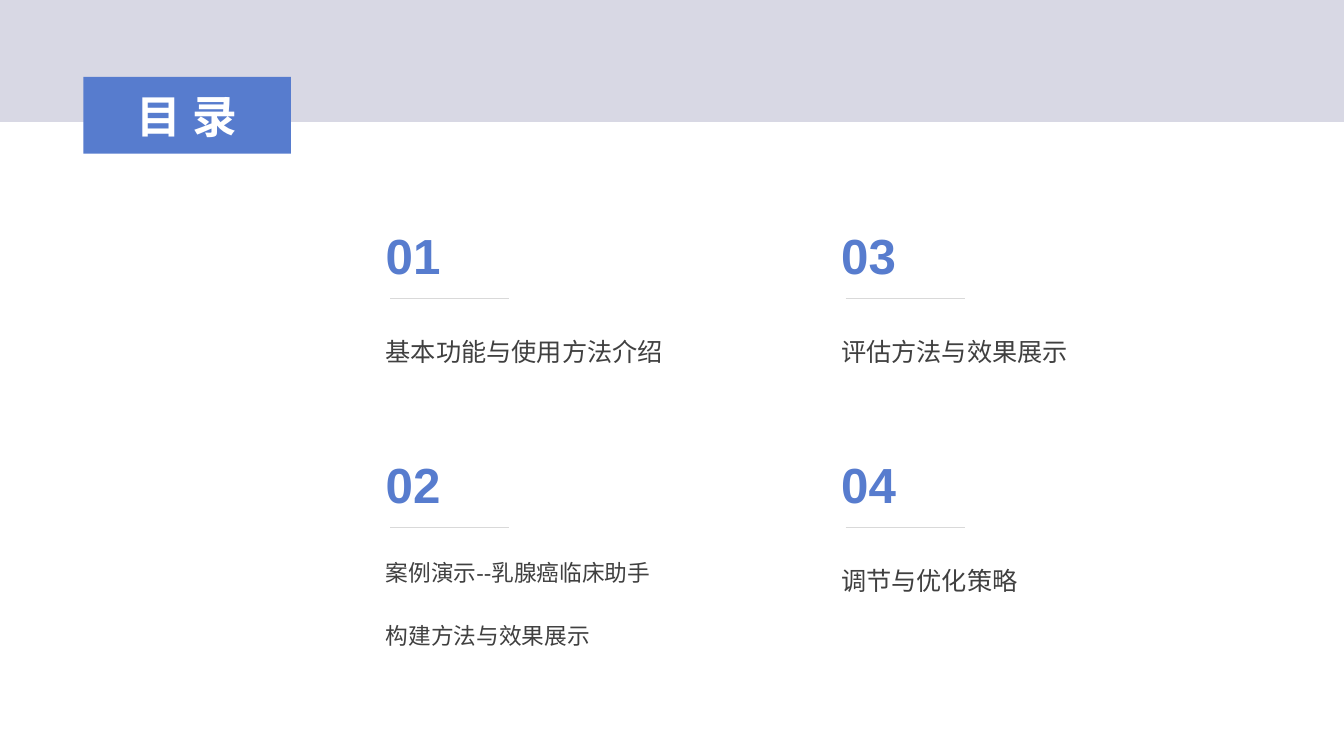
import pptx
import pptx.dml.color
import pptx.enum.shapes
import pptx.enum.text
import pptx.oxml.ns
import pptx.util
from lxml import etree

Cm = pptx.util.Cm
Pt = pptx.util.Pt
RGBColor = pptx.dml.color.RGBColor
ALIGN = pptx.enum.text.PP_ALIGN
ANCHOR = pptx.enum.text.MSO_ANCHOR
qn = pptx.oxml.ns.qn

BLUE = RGBColor(0x57, 0x7C, 0xCE)
LAVENDER = RGBColor(0xD8, 0xD8, 0xE4)
GREY = RGBColor(0x40, 0x40, 0x40)
RULE = RGBColor(0xD9, 0xD9, 0xD9)
WHITE = RGBColor(0xFF, 0xFF, 0xFF)
FONT = "Arial"

ENTRIES = [
    ("01", ["基本功能与使用方法介绍"], 18, 1.5),
    ("02", ["案例演示--乳腺癌临床助手", "构建方法与效果展示"], 16.2, 1.3),
    ("03", ["评估方法与效果展示"], 18, 1.5),
    ("04", ["调节与优化策略"], 18, 1.5),
]


def add_span(para, text, size, color, bold=False):
    span = para.add_run()
    span.text = text
    span.font.size = Pt(size)
    span.font.bold = bold
    span.font.color.rgb = color
    span.font.name = FONT
    properties = span.font._element
    east_asian = etree.Element(qn("a:ea"), typeface=FONT)
    properties.find(qn("a:latin")).addnext(east_asian)
    return span


def add_text_frame(page, left, top, width, height):
    frame = page.shapes.add_textbox(left, top, width, height).text_frame
    frame.word_wrap = True
    return frame


def add_header(page, left, top, width, height):
    band = page.shapes.add_shape(
        pptx.enum.shapes.MSO_SHAPE.RECTANGLE, left, top, width, height)
    band.shadow.inherit = False
    band.fill.solid()
    band.fill.fore_color.rgb = LAVENDER
    band.line.fill.background()

    title = page.shapes.title
    title.left, title.top = left + Cm(2.1), top + Cm(1.94)
    title.width, title.height = Cm(5.23), Cm(1.93)
    title.fill.solid()
    title.fill.fore_color.rgb = BLUE
    title.text_frame.vertical_anchor = ANCHOR.MIDDLE
    para = title.text_frame.paragraphs[0]
    para.alignment = ALIGN.CENTER
    span = add_span(para, "目录", 32, WHITE, True)
    span.font._element.set("spc", "800")
    title.element.addprevious(band.element)


def add_entry(page, left, top, width, number, lines, size, spacing):
    frame = add_text_frame(page, left, top, Cm(2.26), Cm(2.13))
    frame.margin_top = Cm(0.25)
    add_span(frame.paragraphs[0], number, 35.2, BLUE, True)

    rule_left, rule_top = left + Cm(0.36), top + Cm(2.1)
    rule = page.shapes.add_connector(
        pptx.enum.shapes.MSO_CONNECTOR.STRAIGHT,
        rule_left, rule_top, rule_left + Cm(3), rule_top)
    rule.line.color.rgb = RULE
    rule.line.width = Pt(0.5)
    etree.SubElement(rule.element.spPr, qn("a:effectLst"))

    frame = add_text_frame(page, left, top + Cm(2.54), width, Cm(2.7))
    for index, line in enumerate(lines):
        para = frame.add_paragraph() if index else frame.paragraphs[0]
        para.alignment = ALIGN.JUSTIFY
        para.line_spacing = spacing
        para.space_after = Pt(20)
        add_span(para, line, size, GREY)


def add_contents(page, left, top, column_pitch, row_pitch):
    for index, entry in enumerate(ENTRIES):
        column, row = divmod(index, 2)
        add_entry(page, left + column * column_pitch,
                  top + row * row_pitch, Cm(9), *entry)


def main():
    deck = pptx.Presentation()
    deck.slide_width, deck.slide_height = Cm(33.87), Cm(19.05)
    page = deck.slides.add_slide(deck.slide_layouts.get_by_name("Title Only"))
    add_header(page, 0, 0, deck.slide_width, Cm(3.07))
    add_contents(page, Cm(9.47), Cm(5.42), Cm(11.48), Cm(5.78))
    deck.save("out.pptx")


if __name__ == "__main__":
    main()
